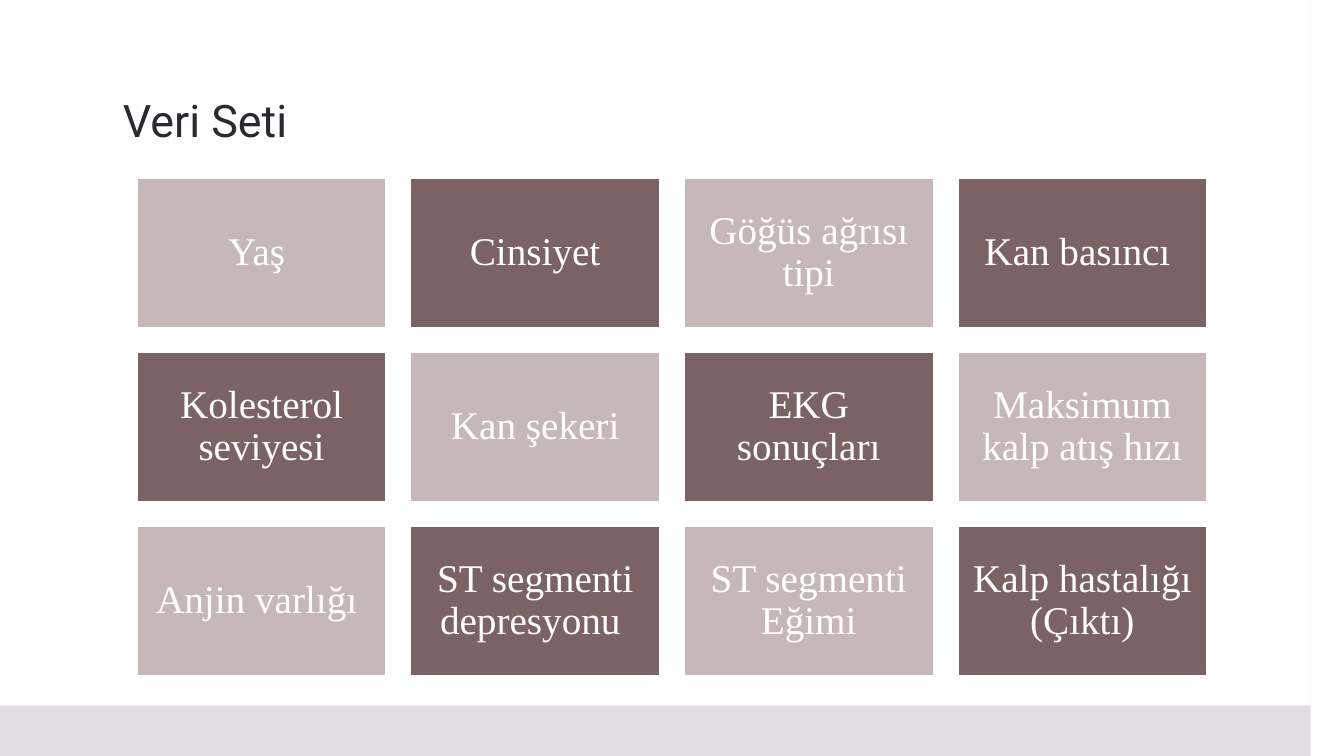
from dataclasses import dataclass

from pptx import Presentation
from pptx.dml.color import RGBColor
from pptx.enum.shapes import MSO_SHAPE
from pptx.enum.text import MSO_ANCHOR, PP_ALIGN
from pptx.util import Inches, Pt


@dataclass(frozen=True)
class Theme:
    background: str = "FFFFFF"
    border: str = "E0DCE1"
    title: str = "2C2830"
    light_tile: str = "C6B8B8"
    dark_tile: str = "7B6364"
    tile_text: str = "FFFFFF"
    title_font: str = "Roboto"
    tile_font: str = "Times New Roman"
    title_size: int = 32
    tile_size: int = 28


@dataclass(frozen=True)
class Grid:
    left: float = 1.36
    top: float = 1.77
    width: float = 10.61
    height: float = 4.93
    cell_width: float = 2.47
    cell_height: float = 1.48
    columns: int = 4
    rows: int = 3

    def cell(self, column, row):
        """Box of one cell in inches, with the cells spread evenly."""
        column_step = (self.width - self.cell_width) / (self.columns - 1)
        row_step = (self.height - self.cell_height) / (self.rows - 1)
        return (self.left + column * column_step, self.top + row * row_step,
                self.cell_width, self.cell_height)


def set_all(target, values):
    for attribute, value in values.items():
        setattr(target, attribute, value)


class SlideBuilder:
    def __init__(self, slide, theme, grid, width, height):
        self.slide, self.theme, self.grid = slide, theme, grid
        self.width, self.height = width, height
        self.paint(slide.background, theme.background)

    def paint(self, target, color):
        target.fill.solid()
        target.fill.fore_color.rgb = RGBColor.from_string(color)

    def add_text(self, shape, text, font, color, frame_format, paragraph_format):
        frame = shape.text_frame
        set_all(frame, {"word_wrap": True, **frame_format})
        paragraph = frame.paragraphs[0]
        set_all(paragraph, paragraph_format)
        run = paragraph.add_run()
        run.text = text
        set_all(run.font, font)
        run.font.color.rgb = RGBColor.from_string(color)

    def border(self, margin_x, margin_y):
        """Fill the band between the slide's edge and the given margins."""
        right, bottom = self.width, self.height
        inner_right, inner_bottom = right - margin_x, bottom - margin_y
        outline = self.slide.shapes.build_freeform(margin_x, margin_y, scale=Inches(1))
        outline.add_line_segments([(margin_x, inner_bottom), (inner_right, inner_bottom),
                                   (inner_right, margin_y)])
        outline.move_to(0, 0)
        outline.add_line_segments([(right, 0), (right, bottom), (0, bottom)])
        band = outline.convert_to_shape()
        band.shadow.inherit = False
        self.paint(band, self.theme.border)
        band.line.fill.background()

    def title(self, text, left, top, width, height):
        heading = self.slide.shapes.add_textbox(*map(Inches, (left, top, width, height)))
        self.add_text(heading, text,
                      {"name": self.theme.title_font, "size": Pt(self.theme.title_size)},
                      self.theme.title,
                      {"vertical_anchor": MSO_ANCHOR.BOTTOM},
                      {"line_spacing": 1.1})

    def tile(self, text, column, row):
        box = map(Inches, self.grid.cell(column, row))
        tile = self.slide.shapes.add_shape(MSO_SHAPE.RECTANGLE, *box)
        tile.shadow.inherit = False
        is_dark = (column + row) % 2
        self.paint(tile, self.theme.dark_tile if is_dark else self.theme.light_tile)
        tile.line.color.rgb = RGBColor.from_string(self.theme.background)
        tile.line.width = Pt(1)
        margins = ("margin_left", "margin_top", "margin_right", "margin_bottom")
        self.add_text(tile, text,
                      {"name": self.theme.tile_font, "size": Pt(self.theme.tile_size)},
                      self.theme.tile_text,
                      {"vertical_anchor": MSO_ANCHOR.MIDDLE,
                       **dict.fromkeys(margins, Inches(0.12))},
                      {"alignment": PP_ALIGN.CENTER, "line_spacing": 0.9})


FEATURES = [
    ["Yaş ", "Cinsiyet", "Göğüs ağrısı tipi", "Kan basıncı "],
    ["Kolesterol seviyesi", "Kan şekeri", "EKG sonuçları", "Maksimum kalp atış hızı"],
    ["Anjin varlığı ", "ST segmenti depresyonu ", "ST segmenti Eğimi",
     "Kalp hastalığı (Çıktı)"],
]


def main():
    width, height = 13.33, 7.5
    presentation = Presentation()
    set_all(presentation, {"slide_width": Inches(width), "slide_height": Inches(height)})
    slide = presentation.slides.add_slide(presentation.slide_layouts[6])
    builder = SlideBuilder(slide, Theme(), Grid(), width, height)
    builder.border(0.18, 0.17)
    builder.title("Veri Seti", 1.12, 0.09, 11.08, 1.41)
    for row, features in enumerate(FEATURES):
        for column, feature in enumerate(features):
            builder.tile(feature, column, row)
    presentation.save("out.pptx")


if __name__ == "__main__":
    main()
